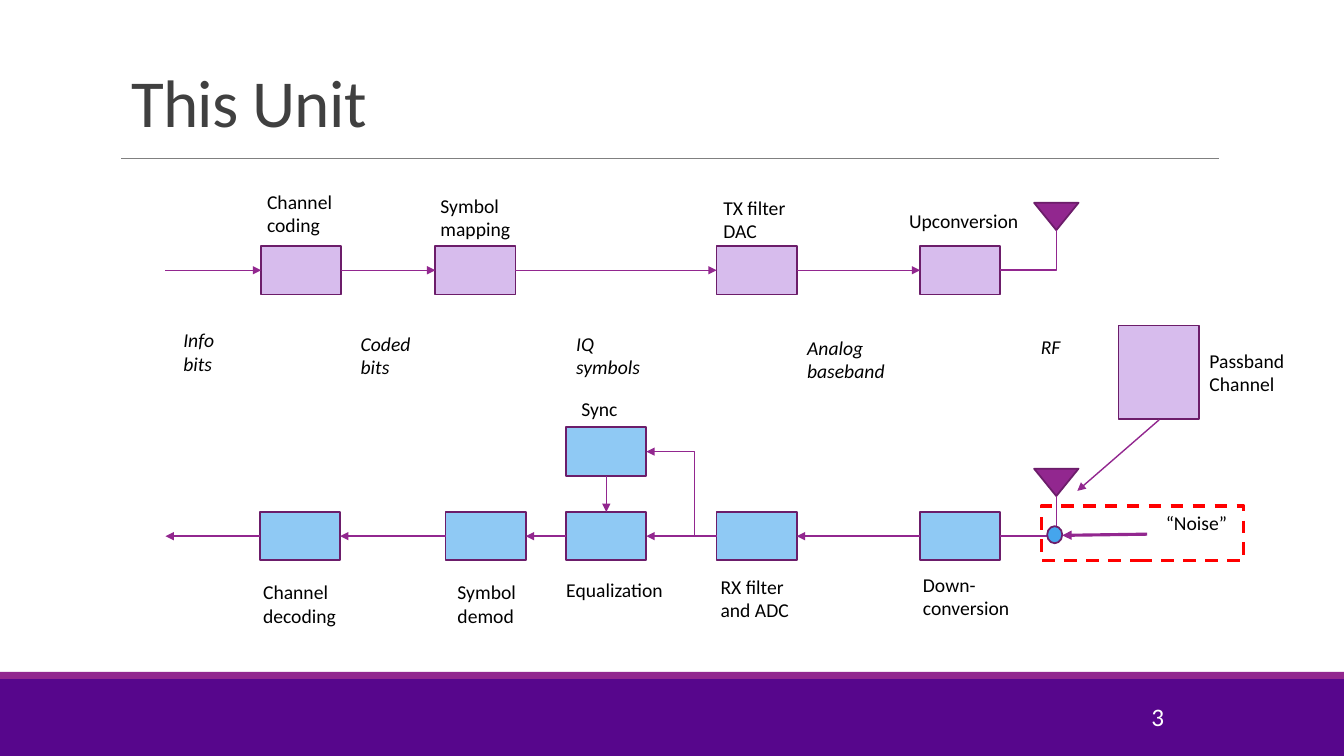
from lxml import etree
from pptx import Presentation
from pptx.dml.color import RGBColor
from pptx.enum.dml import MSO_LINE
from pptx.enum.shapes import MSO_CONNECTOR, MSO_SHAPE
from pptx.enum.text import MSO_ANCHOR, PP_ALIGN
from pptx.oxml.ns import qn
from pptx.util import Cm, Pt

RECT, TRIANGLE, OVAL = MSO_SHAPE.RECTANGLE, MSO_SHAPE.ISOSCELES_TRIANGLE, MSO_SHAPE.OVAL
STRAIGHT, ELBOW = MSO_CONNECTOR.STRAIGHT, MSO_CONNECTOR.ELBOW
LEFT, RIGHT = PP_ALIGN.LEFT, PP_ALIGN.RIGHT
FONT = "Calibri"
COLORS = {
    "band": "57068C", "accent": "92278F", "rule": "808080", "title": "404040",
    "text": "000000", "white": "FFFFFF", "outline": "6C1D6A", "tx": "D7BCED",
    "rx": "8FC9F4", "adder": "45A5ED", "noise": "FF0000",
}

TITLE = "This Unit"
PAGE_NUMBER = "3"
BLOCK_W, BLOCK_H = 2.02, 1.22
TX_Y, RX_Y, SYNC_Y = 6.2, 12.9, 10.77
BITS_X = 4.17
TX_BLOCKS = [6.58, 10.97, 18.06, 23.19]
RX_BLOCKS = [23.19, 18.06, 14.27, 11.23, 6.55]
EQUALIZER_X = RX_BLOCKS[2]
FEEDBACK_X = 17.5
ANTENNA_X, ANTENNA_W, ANTENNA_H = 26.06, 1.12, 0.69
ANTENNA_RISE = 1.09
CHANNEL_BOX = (28.19, 8.2, BLOCK_W, 2.36)
NOISE_BOX = (26.24, 12.75, 5.11, 1.37)
ADDER = (26.39, 13.26, 0.38, 0.43)
ONE_LINE, TWO_LINES = 0.86, 1.45

BLOCK_LABELS = [
    ("Channel coding", 6.48, 4.65, 2.67, TWO_LINES),
    ("Symbol\vmapping", 10.85, 4.75, 2.29, TWO_LINES),
    ("TX filter DAC", 17.98, 4.8, 2.62, TWO_LINES),
    ("Upconversion", 22.66, 5.13, 3.28, ONE_LINE),
    ("Passband\nChannel", 30.23, 8.66, 3.28, TWO_LINES),
    ("Down-conversion", 23.01, 14.3, 3.28, TWO_LINES),
    ("RX filter\vand ADC", 17.91, 14.35, 3.28, TWO_LINES),
    ("Sync", 14.4, 9.88, 3.28, ONE_LINE),
    ("Equalization", 14.02, 14.43, 3.28, ONE_LINE),
    ("Symbol\vdemod", 11.28, 14.5, 2.41, TWO_LINES),
    ("Channel\vdecoding", 6.38, 14.5, 2.41, TWO_LINES),
    ("“Noise”", 29.13, 12.75, 3.28, ONE_LINE),
]
SIGNAL_LABELS = [
    ("Info bits", 4.37, 8.15, 1.98, TWO_LINES),
    ("Coded bits", 8.84, 8.23, 1.98, TWO_LINES),
    ("IQ symbols", 14.27, 8.23, 2.41, TWO_LINES),
    ("Analog baseband", 20.09, 8.33, 2.64, TWO_LINES),
    ("RF", 25.98, 8.31, 1.45, ONE_LINE),
]


def rgb(name):
    return RGBColor.from_string(COLORS[name])


def add_shape(s, kind, box, fill=None, line="outline", width=1.25):
    sp = s.shapes.add_shape(kind, *map(Cm, box))
    sp.shadow.inherit = False
    if fill:
        sp.fill.solid()
        sp.fill.fore_color.rgb = rgb(fill)
    else:
        sp.fill.background()
    if line:
        sp.line.color.rgb = rgb(line)
        sp.line.width = Pt(width)
    else:
        sp.line.fill.background()
    return sp


def add_line(s, start, end, color="accent", width=1, arrow=None, kind=STRAIGHT):
    c = s.shapes.add_connector(kind, *map(Cm, start + end))
    c.line.color.rgb = rgb(color)
    c.line.width = Pt(width)
    props = c._element.spPr
    if kind == ELBOW:
        props.find(qn("a:prstGeom")).set("prst", "bentConnector2")
    if arrow:
        etree.SubElement(c.line._get_or_add_ln(), qn(arrow), type="triangle")
    etree.SubElement(props, qn("a:effectLst"))


def add_arrow(s, start, end, width=1):
    add_line(s, start, end, width=width, arrow="a:tailEnd")


def style_text(tf, size, color, align=LEFT, italic=False):
    tf.word_wrap = True
    for p in tf.paragraphs:
        p.alignment = align
        for r in p.runs:
            r.font.name = FONT
            r.font.size = Pt(size)
            r.font.italic = italic
            r.font.color.rgb = rgb(color)


def add_text(s, text, x, y, w, h, size=14, color="text", align=LEFT, italic=False):
    tf = s.shapes.add_textbox(Cm(x), Cm(y), Cm(w), Cm(h)).text_frame
    tf.text = text
    style_text(tf, size, color, align, italic)
    return tf


def add_frame(s):
    add_shape(s, RECT, (0, 17.11, 33.87, 1.94), "band", None)
    add_shape(s, RECT, (0, 16.93, 33.87, 0.18), "accent", None)
    add_line(s, (3.05, 3.99), (30.73, 3.99), "rule", 0.5)
    title = s.shapes.title
    title.left, title.top, title.width, title.height = map(Cm, (3.05, 0.79, 27.94, 2.9))
    tf = title.text_frame
    tf.text = TITLE
    tf.vertical_anchor = MSO_ANCHOR.BOTTOM
    style_text(tf, 48, "title")
    p = tf.paragraphs[0]
    p.line_spacing = 0.85
    p.runs[0].font._element.set("spc", "-50")
    tf = add_text(s, PAGE_NUMBER, 25.96, 17.55, 3.63, 1.02, 18, "white", RIGHT)
    tf.vertical_anchor = MSO_ANCHOR.MIDDLE


def add_antenna(s, block_x, row_y):
    top = row_y - ANTENNA_RISE
    sp = add_shape(s, TRIANGLE, (ANTENNA_X, top, ANTENNA_W, ANTENNA_H), "accent")
    sp.rotation = 180
    add_line(s, (block_x + BLOCK_W, row_y + BLOCK_H / 2),
             (ANTENNA_X + ANTENNA_W / 2, top + ANTENNA_H), kind=ELBOW)


def add_chains(s):
    for row_y, blocks, fill in ((TX_Y, TX_BLOCKS, "tx"), (RX_Y, RX_BLOCKS, "rx")):
        for x in blocks:
            add_shape(s, RECT, (x, row_y, BLOCK_W, BLOCK_H), fill)
        add_antenna(s, max(blocks), row_y)
    tx_mid, rx_mid = TX_Y + BLOCK_H / 2, RX_Y + BLOCK_H / 2
    for start, end in zip([BITS_X - BLOCK_W] + TX_BLOCKS, TX_BLOCKS):
        add_arrow(s, (start + BLOCK_W, tx_mid), (end, tx_mid))
    for start, end in zip(RX_BLOCKS, RX_BLOCKS[1:] + [BITS_X - BLOCK_W]):
        add_arrow(s, (start, rx_mid), (end + BLOCK_W, rx_mid))


def add_sync(s):
    add_shape(s, RECT, (EQUALIZER_X, SYNC_Y, BLOCK_W, BLOCK_H), "rx")
    center = EQUALIZER_X + BLOCK_W / 2
    add_arrow(s, (center, SYNC_Y + BLOCK_H), (center, RX_Y))
    add_line(s, (EQUALIZER_X + BLOCK_W, SYNC_Y + BLOCK_H / 2),
             (FEEDBACK_X, RX_Y + BLOCK_H / 2), arrow="a:headEnd", kind=ELBOW)


def add_channel(s):
    add_shape(s, RECT, CHANNEL_BOX, "tx")
    box = add_shape(s, RECT, NOISE_BOX, line="noise", width=2.25)
    box.line.dash_style = MSO_LINE.DASH
    add_shape(s, OVAL, ADDER, "adder")
    add_arrow(s, (28.91, 13.46), (26.77, 13.49), 2.25)
    add_arrow(s, (29.21, 10.58), (27.15, 12.37))


def main():
    prs = Presentation()
    prs.slide_width, prs.slide_height = Cm(33.87), Cm(19.05)
    s = prs.slides.add_slide(prs.slide_layouts[5])
    add_frame(s)
    add_chains(s)
    add_sync(s)
    add_channel(s)
    for label in BLOCK_LABELS:
        add_text(s, *label)
    for label in SIGNAL_LABELS:
        add_text(s, *label, italic=True)
    prs.save("out.pptx")


if __name__ == "__main__":
    main()
